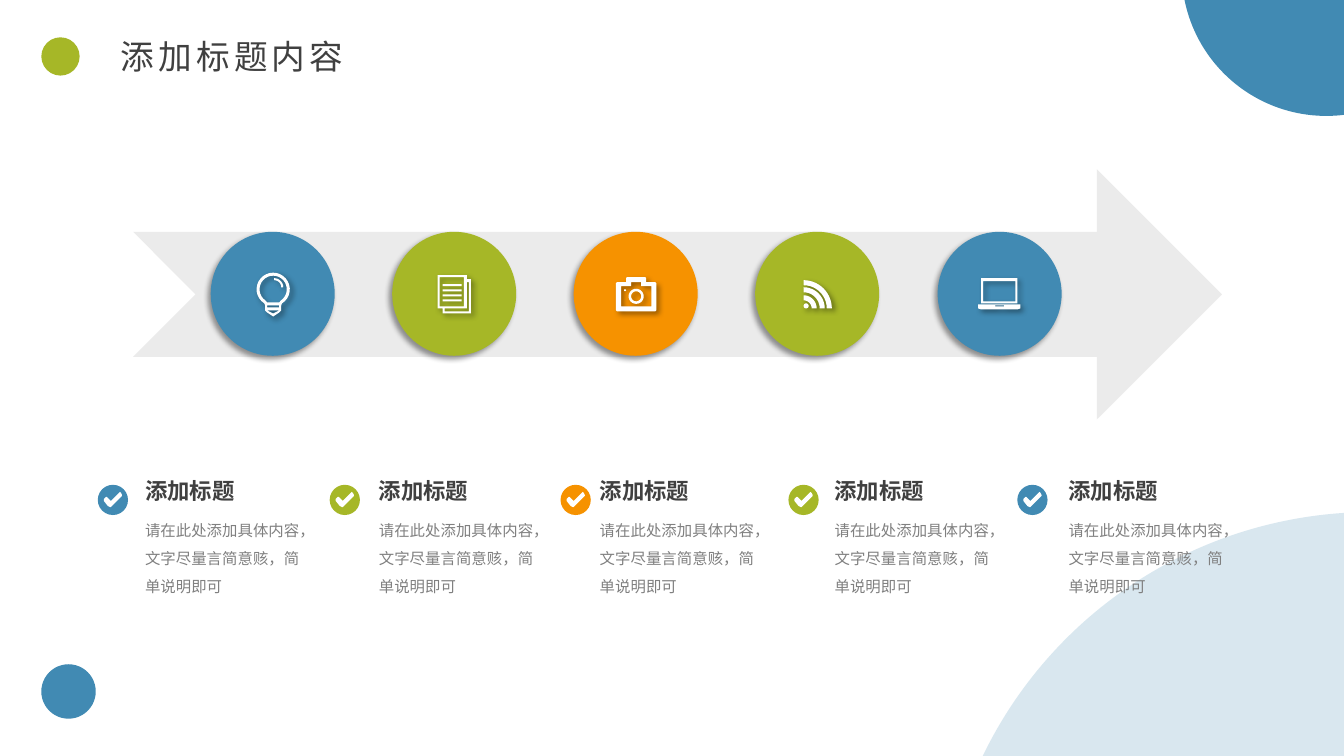
"""Build the five-step arrow slide."""
import math

from lxml import etree
from pptx import Presentation
from pptx import util as u
from pptx.dml.color import RGBColor
from pptx.enum import shapes, text
from pptx.oxml.ns import qn

PX = u.Inches(1) // 100
BLUE = RGBColor(0x41, 0x8A, 0xB3)
GREEN = RGBColor(0xA6, 0xB7, 0x27)
ORANGE = RGBColor(0xF6, 0x92, 0x00)
SILVER = RGBColor(0xD9, 0xD9, 0xD9)
DARK = RGBColor(0x40, 0x40, 0x40)
GREY = RGBColor(0x80, 0x80, 0x80)
WHITE = RGBColor(0xFF, 0xFF, 0xFF)
BLACK = RGBColor(0x00, 0x00, 0x00)
STEP_COLORS = [BLUE, GREEN, ORANGE, GREEN, BLUE]
BADGE_LEFTS = [97, 327, 556, 782, 1009]
COLUMN_LEFTS = [134, 366, 585, 818, 1050]
BODY = "请在此处添加具体内容，文字尽量言简意赅，简单说明即可"


def arc(x, y, radius, start=0, end=360):
    """Return points along an arc, with angles in degrees clockwise from the right."""
    count = 24
    angles = [math.radians(start + (end - start) * i / count) for i in range(count + 1)]
    return [(x + radius * math.cos(a), y + radius * math.sin(a)) for a in angles]


def box(left, top, right, bottom):
    """Return the corners of a rectangle."""
    return [(left, top), (right, top), (right, bottom), (left, bottom)]


def band(x, y, outer, inner):
    """Return an upper right quarter ring."""
    return arc(x, y, outer, 270, 360) + arc(x, y, inner, 360, 270)


BULB = [
    arc(62, 57, 16.5, 122, 418) + [(70, 73), (70, 78), (68, 80), (62, 84), (56, 80), (54, 78), (54, 73)],
    arc(62, 57, 13.5, 125, 415) + [(68, 70), (56, 70)],
    box(56, 73, 68, 75),
    [(56, 78), (68, 78), (62, 81)],
    band(63, 55, 9, 7),
]
DOCUMENT = [
    [(45, 43), (74, 43), (74, 47), (78, 47), (78, 81), (50, 81), (50, 76), (45, 76)],
    box(47, 45, 71, 74),
    [(52, 76), (74, 76), (74, 50), (76, 50), (76, 79), (52, 79)],
    *[box(50, top, 69, top + 2) for top in range(52, 68, 5)],
]
CAMERA = [
    [(42, 51), (43, 50), (52, 50), (52, 46), (53, 45), (71, 45), (72, 46), (72, 50),
     (81, 50), (82, 51), (82, 78), (81, 79), (43, 79), (42, 78)],
    [(47, 54), (57, 54), (57, 50), (67, 50), (67, 54), (77, 54), (77, 74), (47, 74)],
    arc(62, 64, 7.5),
    arc(62, 64, 5),
    arc(51, 58, 1),
]
SIGNAL = [arc(50.5, 73.5, 2.5), *[band(48, 76, r, r - 5) for r in (13, 21, 28)]]
LAPTOP = [
    box(43, 46, 79, 71),
    box(45, 49, 77, 69),
    [(40, 72), (82, 72), (82, 76), (79, 77), (43, 77), (40, 76)],
    box(57, 73, 66, 74),
]
TICK = [[(24, 11), (13, 22), (12, 22), (10, 21), (6, 16), (6, 14), (8, 12), (9, 12),
         (13, 16), (21, 8), (22, 7), (23, 8), (24, 10)]]


class SlideBuilder:
    """Draw styled elements on one slide."""

    def __init__(self, slide):
        """Keep the slide's shapes."""
        self.shapes = slide.shapes

    def paint(self, shape, color, alpha=None, shadow_angle=None):
        """Set a plain fill, with optional opacity and shadow."""
        shape.fill.solid()
        shape.fill.fore_color.rgb = color
        shape.line.fill.background()
        shape.shadow.inherit = False
        properties = shape._element.spPr
        if alpha is not None:
            self.opacity(properties.find(".//" + qn("a:srgbClr")), alpha)
        if shadow_angle is not None:
            shadow = etree.SubElement(
                properties.find(qn("a:effectLst")), qn("a:outerShdw"),
                blurRad=str(u.Pt(4)), dist=str(u.Pt(3)), dir=str(shadow_angle * 60000),
                algn="ctr", rotWithShape="0")
            self.opacity(etree.SubElement(shadow, qn("a:srgbClr"), val=str(BLACK)), 40)

    def opacity(self, color, percent):
        """Add an opacity to a colour element."""
        etree.SubElement(color, qn("a:alpha"), val=str(percent * 1000))

    def preset(self, kind, left, top, width, height, color, **style):
        """Add a preset shape."""
        shape = self.shapes.add_shape(kind, left * PX, top * PX, width * PX, height * PX)
        self.paint(shape, color, **style)

    def circle(self, left, top, size, color, **style):
        """Add a circle."""
        self.preset(shapes.MSO_SHAPE.OVAL, left, top, size, size, color, **style)

    def icon(self, left, top, contours, **style):
        """Add a white outline made of several contours."""
        placed = [[((left + x) * PX, (top + y) * PX) for x, y in c] for c in contours]
        builder = self.shapes.build_freeform(*placed[0][0])
        builder.add_line_segments(placed[0][1:])
        for contour in placed[1:]:
            builder.move_to(*contour[0])
            builder.add_line_segments(contour[1:])
        self.paint(builder.convert_to_shape(), WHITE, **style)

    def label(self, left, top, width, height, words, size, color,
              font="Noto Sans CJK SC", bold=False, leading=None, align=None, spacing=None):
        """Add a wrapped text box."""
        frame = self.shapes.add_textbox(left * PX, top * PX, width * PX, height * PX).text_frame
        frame.word_wrap = True
        frame.auto_size = text.MSO_AUTO_SIZE.SHAPE_TO_FIT_TEXT
        frame.text = words
        paragraph = frame.paragraphs[0]
        paragraph.alignment = align
        paragraph.line_spacing = leading
        run = paragraph.runs[0]
        run.font.size = u.Pt(size)
        run.font.bold = bold
        run.font.color.rgb = color
        run.font.name = font
        properties = run._r.get_or_add_rPr()
        etree.SubElement(properties, qn("a:ea"), typeface=font)
        if spacing:
            properties.set("spc", str(spacing * 100))


def main():
    """Build and save the slide."""
    deck = Presentation()
    deck.slide_width, deck.slide_height = u.Inches(13.33), u.Inches(7.5)
    page = SlideBuilder(deck.slides.add_slide(deck.slide_layouts[6]))

    dot = shapes.MSO_SHAPE.FLOWCHART_CONNECTOR
    page.preset(dot, 932, 508, 857, 857, BLUE, alpha=20)
    page.preset(dot, 1172, -172, 287, 287, BLUE)
    page.preset(dot, 41, 659, 54, 54, BLUE)
    page.preset(dot, 41, 37, 38, 38, GREEN)
    page.label(110, 31, 256, 50, "添加标题内容", 24, DARK, font="Lato",
               align=text.PP_ALIGN.JUSTIFY, spacing=3)

    page.preset(shapes.MSO_SHAPE.NOTCHED_RIGHT_ARROW, 132, 168, 1080, 248, SILVER, alpha=50)
    for i, (color, icon) in enumerate(zip(STEP_COLORS, [BULB, DOCUMENT, CAMERA, SIGNAL, LAPTOP])):
        left = 209 + i * 721 // 4
        page.circle(left, 230, 123, color, shadow_angle=135)
        page.icon(left, 230, icon, shadow_angle=45)

    for color, badge, column in zip(STEP_COLORS, BADGE_LEFTS, COLUMN_LEFTS):
        page.circle(badge, 481, 30, color)
        page.icon(badge, 481, TICK)
        page.label(column, 503, 184, 91, BODY, 11, GREY, leading=u.Pt(20))
        page.label(column, 468, 119, 37, "添加标题", 16, DARK, bold=True)

    deck.save("out.pptx")


if __name__ == "__main__":
    main()
